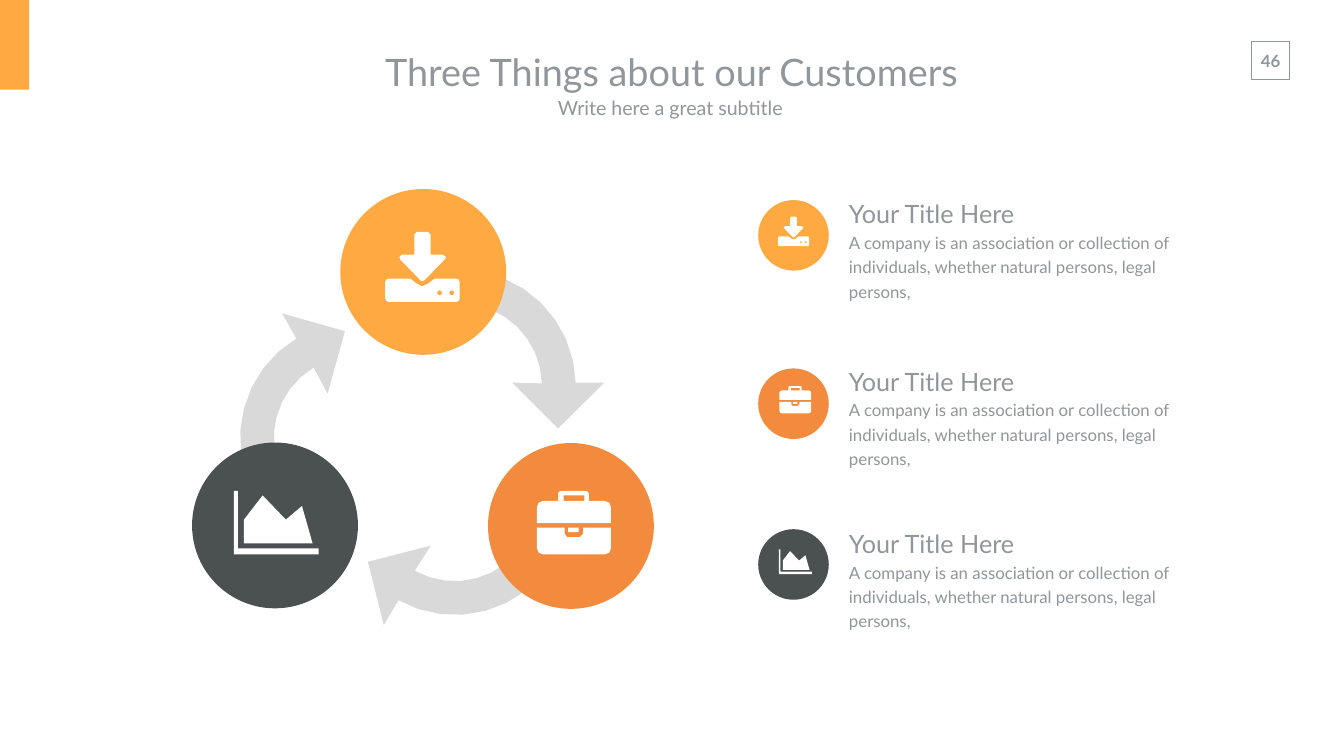
from math import cos, radians, sin

from pptx import Presentation
from pptx.dml.color import RGBColor
from pptx.enum.shapes import MSO_SHAPE
from pptx.enum.text import MSO_ANCHOR, PP_ALIGN
from pptx.util import Inches, Pt

RECT, OVAL = MSO_SHAPE.RECTANGLE, MSO_SHAPE.OVAL
TOP, MIDDLE = MSO_ANCHOR.TOP, MSO_ANCHOR.MIDDLE
LEFT, CENTER = PP_ALIGN.LEFT, PP_ALIGN.CENTER


class Theme:
    font = "Lato"
    text = RGBColor.from_string("91969B")
    amber = RGBColor.from_string("FFA943")
    orange = RGBColor.from_string("F28B3E")
    slate = RGBColor.from_string("4B5050")
    arrow = RGBColor.from_string("D9D9D9")
    white = RGBColor.from_string("FFFFFF")
    title, sub, head, body = Pt(54), Pt(28), Pt(36), Pt(24)


prs = Presentation()
prs.slide_width, prs.slide_height = Inches(26.66), Inches(15)
slide = prs.slides.add_slide(prs.slide_layouts[6])
shapes = slide.shapes


def draw(loops, color, left, top, scale=1, turn=0):
    """Draw closed loops of points (x, y) and arcs (x, y, radius, from, to)."""
    pen = None
    for loop in loops:
        dots = []
        for x, y, *arc in loop:
            if arc:
                r, start, end = arc
                count = 8 if r > 1 else round(abs(end - start) / 45)
                steps = [radians(start + (end - start) * i / count) for i in range(count + 1)]
                dots += [(x + r * cos(a), y + r * sin(a)) for a in steps]
            else:
                dots.append((x, y))
        dots = [(Inches(left + scale * x), Inches(top + scale * y)) for x, y in dots]
        if pen is None:
            pen = shapes.build_freeform(*dots[0])
        else:
            pen.move_to(*dots[0])
        pen.add_line_segments(dots[1:], close=True)
    shape = pen.convert_to_shape()
    shape.rotation = turn
    shape.shadow.inherit = False
    shape.fill.solid()
    shape.fill.fore_color.rgb = color
    shape.line.fill.background()


def write(box, lines, align=LEFT, anchor=TOP, pad=(0.2, 0.1), space=None, wrap=True, bold=None):
    """Add a text box; lines holds pairs of text and size."""
    frame = shapes.add_textbox(*map(Inches, box)).text_frame
    frame.word_wrap = wrap
    frame.vertical_anchor = anchor
    frame.margin_left = frame.margin_right = Inches(pad[0])
    frame.margin_top = frame.margin_bottom = Inches(pad[1])
    frame.text = "\n".join(text for text, size in lines)
    for para, (text, size) in zip(frame.paragraphs, lines):
        para.alignment = align
        para.line_spacing = space
        font = para.runs[0].font
        font.name, font.size, font.bold = Theme.font, size, bold
        font.color.rgb = Theme.text


# Page number and corner bar
write((24.8, 0.9, 0.81, 0.61), [("46", Theme.body)], CENTER, wrap=False, bold=True)
frame = shapes.add_shape(RECT, Inches(24.83), Inches(0.82), Inches(0.75), Inches(0.75))
frame.shadow.inherit = False
frame.fill.background()
frame.line.color.rgb = Theme.text
frame.line.width = Pt(1)
bar = shapes.add_shape(RECT, 0, 0, Inches(0.58), Inches(1.78))
bar.shadow.inherit = False
bar.fill.solid()
bar.fill.fore_color.rgb = Theme.amber
bar.line.fill.background()

# Title and subtitle
write((5.76, 0.83, 15.12, 1.18), [("Three Things about our Customers", Theme.title)],
      CENTER, MIDDLE, (0.27, 0.13))
write((8.18, 1.76, 10.33, 0.74), [("Write here a great subtitle ", Theme.sub)],
      CENTER, MIDDLE, (0.27, 0.13))

# Cycle arrows: one outline, turned by about a third each time
arrow = [[(0, 2.3, 2.3, -90, -1.5), (2.87, 2.24), (1.95, 3.15), (1.04, 2.24),
          (0, 2.3, 1.63, -1.5, -90)]]
for left, top, turn in ((9.12, 5.35, 0), (7.48, 9.93, 120.6), (4.29, 6.22, 240.5)):
    draw(arrow, Theme.arrow, left, top, turn=turn)

# Icon outlines, in inches at full size
load = [
    [(1.41, 1.32, 0.07, 0, 90), (0.07, 1.32, 0.07, 90, 180), (0.07, 1, 0.07, 180, 270),
     (0.5, 0.93), (0.63, 1.03), (0.73, 1.08), (0.85, 1.03),
     (0.98, 0.93), (1.41, 1, 0.07, 270, 360)],
    [(1.18, 0.55), (0.78, 0.96), (0.73, 0.98), (0.7, 0.96), (0.3, 0.55), (0.28, 0.5),
     (0.33, 0.45), (0.58, 0.45), (0.58, 0.05), (0.63, 0), (0.85, 0), (0.9, 0.05),
     (0.9, 0.45), (1.13, 0.45), (1.21, 0.5)],
    [(1.08, 1.21, 0.05, 0, 360)],
    [(1.32, 1.21, 0.05, 0, 360)],
]
case = [
    [(1.47, 0.64), (0, 0.64), (0.12, 0.32, 0.12, 180, 270), (0.42, 0.2),
     (0.48, 0.06, 0.06, 180, 270), (0.97, 0.06, 0.06, 270, 360), (1.03, 0.2),
     (1.35, 0.32, 0.12, 270, 360)],
    [(1.47, 0.73), (1.35, 1.14, 0.12, 0, 90), (0.12, 1.14, 0.12, 90, 180), (0, 0.73),
     (0.55, 0.73), (0.55, 0.85), (0.6, 0.92), (0.85, 0.92), (0.92, 0.85), (0.92, 0.73)],
    [(0.94, 0.2), (0.94, 0.09), (0.53, 0.09), (0.53, 0.2)],
    [(0.83, 0.82), (0.62, 0.82), (0.62, 0.73), (0.83, 0.73)],
]
graph = [
    [(1.68, 1.26), (0, 1.26), (0, 0), (0.08, 0), (0.08, 1.14), (1.68, 1.14)],
    [(1.56, 1.04), (0.2, 1.04), (0.2, 0.57), (0.57, 0.09), (1.03, 0.57), (1.35, 0.3)],
]

# Each item: colour, icon, ring disc, ring icon, list disc top, list icon, scale, text top
items = [
    (Theme.amber, load, (6.75, 3.75), (7.64, 4.6), 3.97, (15.43, 4.3), 0.42, 3.72),
    (Theme.orange, case, (9.68, 8.79), (10.65, 9.74), 7.31, (15.46, 7.66), 0.43, 7.04),
    (Theme.slate, graph, (3.81, 8.78), (4.64, 9.74), 10.5, (15.45, 10.9), 0.39, 10.26),
]
note = ("A company is an association or collection of individuals, "
        "whether natural persons, legal persons,")
for color, icon, disc, spot, top, mark, scale, head in items:
    # Ring disc and list disc
    for x, y, size in ((*disc, 3.29), (15.04, top, 1.4)):
        oval = shapes.add_shape(OVAL, Inches(x), Inches(y), Inches(size), Inches(size))
        oval.shadow.inherit = False
        oval.fill.solid()
        oval.fill.fore_color.rgb = color
        oval.line.fill.background()
    # Icons and text
    draw(icon, Theme.white, *spot)
    draw(icon, Theme.white, *mark, scale)
    write((16.64, head, 7.72, 1.88),
          [("Your Title Here", Theme.head), (note, Theme.body)], space=1.2)

prs.save("out.pptx")
